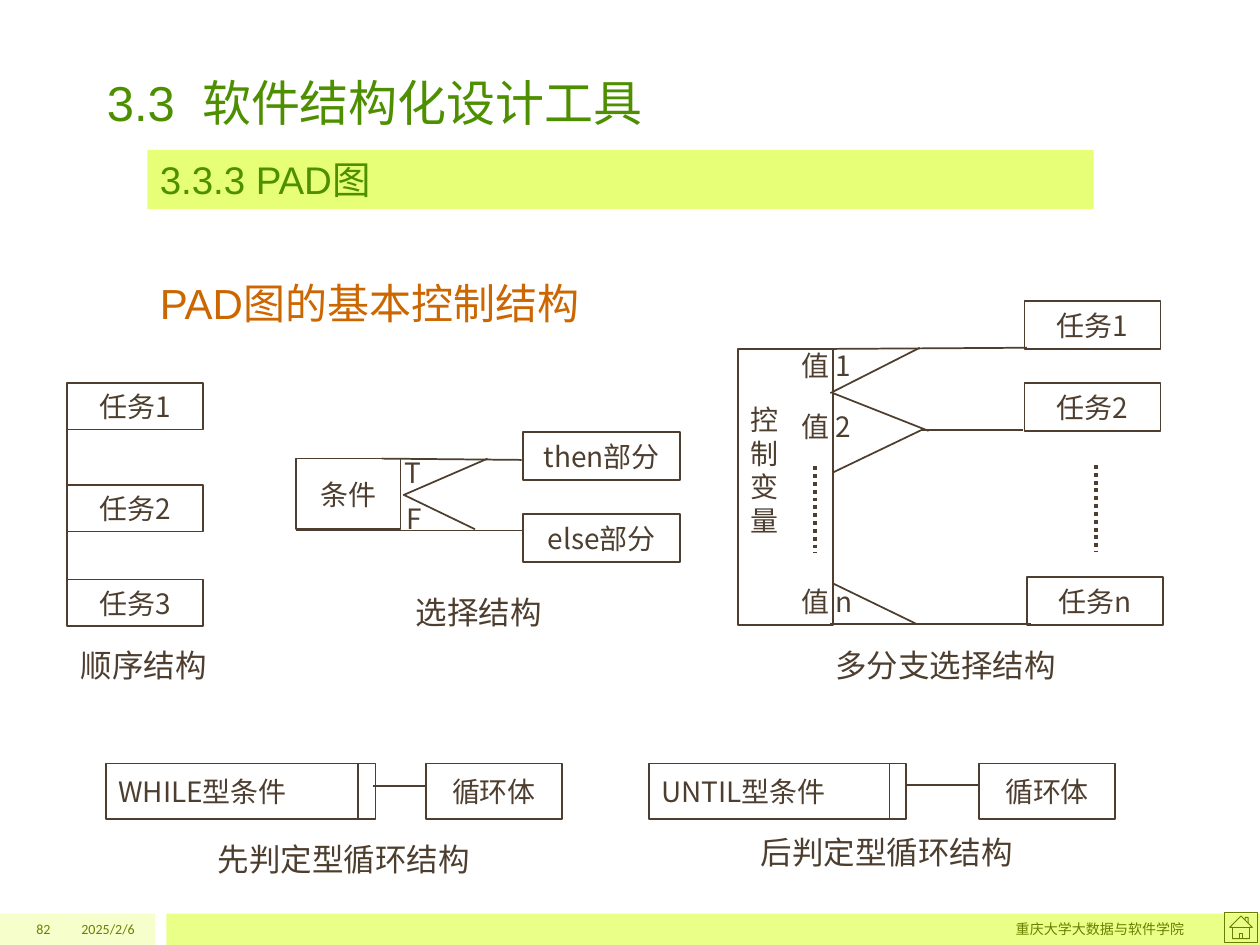
from lxml.etree import SubElement
from pptx import Presentation
from pptx.dml.color import RGBColor
from pptx.enum.dml import MSO_LINE as Dash
from pptx.enum.shapes import MSO_CONNECTOR as Conn, MSO_SHAPE as Kind
from pptx.enum.text import MSO_ANCHOR as Anchor, PP_ALIGN as Align
from pptx.oxml.ns import qn
from pptx.util import Inches, Pt

INK = RGBColor(0x4D, 0x3E, 0x2F)
GREEN = RGBColor(0x4E, 0x8F, 0x00)
ORANGE = RGBColor(0xCC, 0x66, 0x00)
OLIVE = RGBColor(0x68, 0x80, 0x00)
EDGE = RGBColor(0x67, 0x7E, 0x00)
PALE = RGBColor(0xF6, 0xFF, 0xCC)
LIME = RGBColor(0xE9, 0xFF, 0x88)
BAND = RGBColor(0xE6, 0xFF, 0x77)
SANS = "Noto Sans CJK SC"


def write(frame, text, size, color=INK, face=SANS, align=Align.LEFT):
    frame.text = text
    for para in frame.paragraphs:
        para.alignment = align
        font = para.font
        font.size = Pt(size)
        font.color.rgb = color
        font.name = face
        if face == SANS:
            props = para._p.pPr.find(qn("a:defRPr"))
            SubElement(props, qn("a:ea"), typeface=face)


def add_text(slide, area, text, size, color=INK, face=SANS,
             align=Align.LEFT, anchor=Anchor.TOP):
    frame = slide.shapes.add_textbox(*map(Inches, area)).text_frame
    frame.word_wrap = True
    frame.vertical_anchor = anchor
    write(frame, text, size, color, face, align)
    return frame


def add_shape(slide, area, fill=None, line=None, width=1, kind=Kind.RECTANGLE):
    shape = slide.shapes.add_shape(kind, *map(Inches, area))
    shape.shadow.inherit = False
    if fill is None:
        shape.fill.background()
    else:
        shape.fill.solid()
        shape.fill.fore_color.rgb = fill
    if line is None:
        shape.line.fill.background()
    else:
        shape.line.color.rgb = line
        shape.line.width = Pt(width)
    return shape


def add_box(slide, area, text, align=Align.CENTER):
    frame = add_shape(slide, area, line=INK).text_frame
    frame.word_wrap = False
    frame.vertical_anchor = Anchor.MIDDLE
    write(frame, text, 16, align=align)
    return frame


def add_line(slide, ends, width=1, dash=None):
    line = slide.shapes.add_connector(Conn.STRAIGHT, *map(Inches, ends))
    line.line.color.rgb = INK
    line.line.width = Pt(width)
    if dash is not None:
        line.line.dash_style = dash
    SubElement(line._element.spPr, qn("a:effectLst"))


def add_lines(slide, *paths):
    for ends in paths:
        add_line(slide, ends)


def add_frame(slide):
    add_shape(slide, (0, 7.25, 1.23, 0.25), PALE)
    add_shape(slide, (1.32, 7.25, 8.68, 0.25), LIME)
    add_shape(slide, (9.72, 7.24, 0.26, 0.24), line=EDGE, width=0.5,
              kind=Kind.ACTION_BUTTON_HOME)
    for left, width, text in ((0.5, 0.67, "2025/2/6"),
                              (2, 7.5, "重庆大学大数据与软件学院"),
                              (0, 0.5, "82")):
        add_text(slide, (left, 7.25, width, 0.25), text, 8, OLIVE, "Calibri",
                 Align.RIGHT, Anchor.MIDDLE)


def add_heads(slide):
    add_text(slide, (0.75, 0.38, 8.51, 0.71), "3.3  软件结构化设计工具", 28,
             GREEN, "Arial", anchor=Anchor.BOTTOM)
    band = add_shape(slide, (1.17, 1.19, 7.51, 0.47), BAND).text_frame
    band.vertical_anchor = Anchor.TOP
    write(band, "3.3.3 PAD图", 22, GREEN, "Arial")
    head = add_text(slide, (1.17, 1.95, 7.31, 0.71), "PAD图的基本控制结构", 24,
                    ORANGE, "Arial")
    head.paragraphs[0].line_spacing = 1.5


def add_chain(slide):
    for num, top in enumerate((3.04, 3.85, 4.6), 1):
        add_box(slide, (0.53, top, 1.08, 0.37), f"任务{num}")
    add_lines(slide, (0.53, 3.35, 0.53, 3.92), (0.53, 4.17, 0.53, 4.67))
    add_text(slide, (0.23, 5.08, 1.82, 0.4), "顺序结构", 18, align=Align.CENTER)


def add_choice(slide):
    add_box(slide, (2.35, 3.64, 0.83, 0.56), "条件")
    for top, text in ((3.43, "then部分"), (4.08, "else部分")):
        add_box(slide, (4.15, top, 1.25, 0.38), text)
    add_lines(slide, (2.35, 4.21, 4.15, 4.21), (3.03, 3.64, 4.14, 3.65),
              (3.2, 3.93, 3.87, 3.64), (3.77, 4.2, 3.21, 3.93))
    for left, top, text in ((3.11, 3.57, "T"), (3.13, 3.93, "F")):
        add_text(slide, (left, top, 0.67, 0.37), text, 16)
    add_text(slide, (3.01, 4.66, 1.58, 0.4), "选择结构", 18, align=Align.CENTER)


def add_switch(slide):
    frame = add_box(slide, (5.86, 2.77, 0.75, 2.19), "控\n制\n变\n量", Align.LEFT)
    frame.margin_bottom = Inches(0.32)
    for left, top, num in ((8.13, 2.39, "1"), (8.13, 3.04, "2"),
                           (8.15, 4.58, "n")):
        add_box(slide, (left, top, 1.08, 0.38), f"任务{num}")
    add_lines(slide, (6.51, 2.77, 8.15, 2.76), (6.59, 3.12, 7.3, 2.76),
              (6.61, 3.12, 7.37, 3.42), (6.61, 3.75, 7.32, 3.41),
              (7.32, 3.41, 8.12, 3.41), (6.59, 4.95, 8.18, 4.95),
              (6.61, 4.63, 7.27, 4.95))
    for x, top in ((6.47, 3.7), (8.7, 3.69)):
        add_line(slide, (x, top, x, top + 0.69), 2.25, Dash.ROUND_DOT)
    for top, num in ((2.72, "1"), (3.2, "2"), (4.59, "n")):
        add_text(slide, (6.26, top, 0.92, 0.37), f"值 {num}", 16)
    add_text(slide, (6.53, 5.08, 2.58, 0.4), "多分支选择结构", 18)


def add_loop(slide, left, width, bar, wire, body, text):
    add_box(slide, (left, 6.06, width, 0.44), text, Align.LEFT)
    add_box(slide, (body, 6.06, 1.08, 0.44), "循环体")
    add_lines(slide, (bar, 6.06, bar, 6.49), wire)


def add_loops(slide):
    add_loop(slide, 0.84, 2.14, 2.84, (2.96, 6.24, 3.38, 6.24), 3.38,
             "WHILE型条件")
    add_loop(slide, 5.15, 2.04, 7.06, (7.19, 6.23, 7.77, 6.23), 7.77,
             "UNTIL型条件")
    add_text(slide, (1.63, 6.62, 3.17, 0.4), "先判定型循环结构", 18)
    add_text(slide, (5.94, 6.56, 3.5, 0.4), "后判定型循环结构", 18)


def main():
    deck = Presentation()
    deck.slide_width, deck.slide_height = Inches(10), Inches(7.5)
    slide = deck.slides.add_slide(deck.slide_layouts[6])
    for draw in (add_frame, add_heads, add_chain, add_choice, add_switch,
                 add_loops):
        draw(slide)
    deck.save("out.pptx")


if __name__ == "__main__":
    main()
